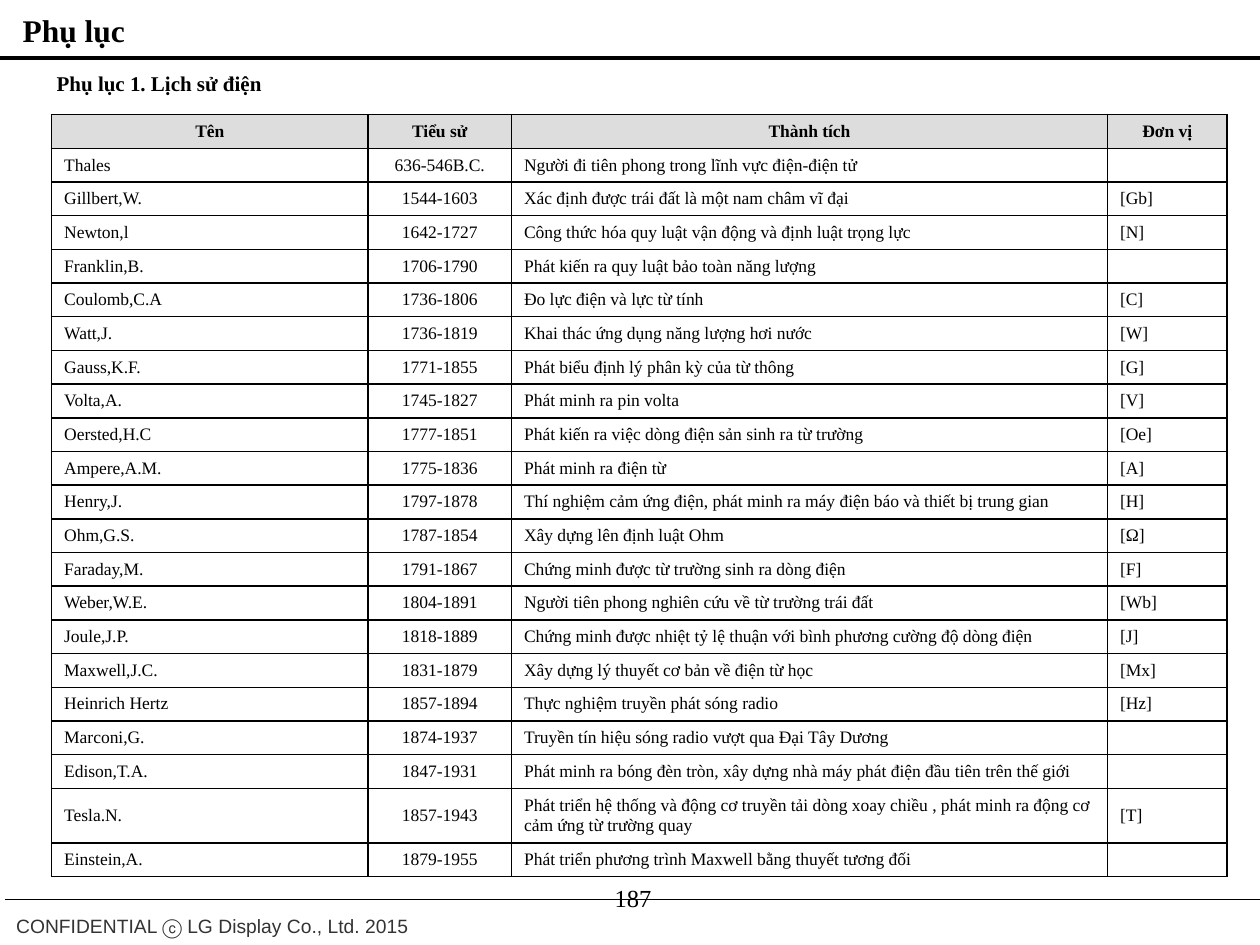
import pptx
import pptx.dml.color
import pptx.enum.shapes
import pptx.enum.text
import pptx.util
from lxml import etree
from pptx.oxml.ns import qn

Inches = pptx.util.Inches
Pt = pptx.util.Pt
MIDDLE = pptx.enum.text.MSO_ANCHOR.MIDDLE
CENTER = pptx.enum.text.PP_ALIGN.CENTER
LEFT = pptx.enum.text.PP_ALIGN.LEFT

COLORS = {"ink": "000000", "paper": "FFFFFF", "header": "DDDDDD", "footer": "333333"}
SERIF = "Times New Roman"

COLUMN_WIDTHS = [2.51, 1.14, 4.73, 0.95]
COLUMN_ALIGNS = [LEFT, CENTER, LEFT, LEFT]
HEADINGS = ("Tên", "Tiểu sử", "Thành tích", "Đơn vị")
SCIENTISTS = [
    ("Thales", "636-546B.C.", "Người đi tiên phong trong lĩnh vực điện-điện tử", ""),
    ("Gillbert,W.", "1544-1603", "Xác định được trái đất là một nam châm vĩ đại", "[Gb]"),
    ("Newton,l", "1642-1727", "Công thức hóa quy luật vận động và định luật trọng lực", "[N]"),
    ("Franklin,B.", "1706-1790", "Phát kiến ra quy luật bảo toàn năng lượng", ""),
    ("Coulomb,C.A", "1736-1806", "Đo lực điện và lực từ tính", "[C]"),
    ("Watt,J.", "1736-1819", "Khai thác ứng dụng năng lượng hơi nước", "[W]"),
    ("Gauss,K.F.", "1771-1855", "Phát biểu định lý phân kỳ của từ thông", "[G]"),
    ("Volta,A.", "1745-1827", "Phát minh ra pin volta", "[V]"),
    ("Oersted,H.C", "1777-1851", "Phát kiến ra việc dòng điện sản sinh ra từ trường", "[Oe]"),
    ("Ampere,A.M.", "1775-1836", "Phát minh ra điện từ", "[A]"),
    ("Henry,J.", "1797-1878",
     "Thí nghiệm cảm ứng điện, phát minh ra máy điện báo và thiết bị trung gian", "[H]"),
    ("Ohm,G.S.", "1787-1854", "Xây dựng lên định luật Ohm", "[Ω]"),
    ("Faraday,M.", "1791-1867", "Chứng minh được từ trường sinh ra dòng điện", "[F]"),
    ("Weber,W.E.", "1804-1891", "Người tiên phong nghiên cứu về từ trường trái đất", "[Wb]"),
    ("Joule,J.P.", "1818-1889",
     "Chứng minh được nhiệt tỷ lệ thuận với bình phương cường độ dòng điện", "[J]"),
    ("Maxwell,J.C.", "1831-1879", "Xây dựng lý thuyết cơ bản về điện từ học", "[Mx]"),
    ("Heinrich Hertz", "1857-1894", "Thực nghiệm truyền phát sóng radio", "[Hz]"),
    ("Marconi,G.", "1874-1937", "Truyền tín hiệu sóng radio vượt qua Đại Tây Dương", ""),
    ("Edison,T.A.", "1847-1931",
     "Phát minh ra bóng đèn tròn, xây dựng nhà máy phát điện đầu tiên trên thế giới", ""),
    ("Tesla.N.", "1857-1943",
     "Phát triển hệ thống và động cơ truyền tải dòng xoay chiều , "
     "phát minh ra động cơ cảm ứng từ trường quay", "[T]"),
    ("Einstein,A.", "1879-1955", "Phát triển phương trình Maxwell bằng thuyết tương đối", ""),
]
TALL_ROW = 20
TALL_HEIGHT = 0.43


def rgb(name):
    return pptx.dml.color.RGBColor.from_string(COLORS[name])


def style(paragraph, size, font=SERIF, color="ink", bold=False):
    paragraph.font.size = Pt(size)
    paragraph.font.name = font
    paragraph.font.bold = bold
    paragraph.font.color.rgb = rgb(color)


def add_label(slide, box, text, size, insets=(0.04, 0.04), wrap=False, **look):
    """Add one line of text; insets are (left and right, top and bottom)."""
    label = slide.shapes.add_textbox(*map(Inches, box))
    frame = label.text_frame
    frame.word_wrap = wrap
    frame.margin_left = frame.margin_right = Inches(insets[0])
    frame.margin_top = frame.margin_bottom = Inches(insets[1])
    paragraph = frame.paragraphs[0]
    paragraph.text = text
    style(paragraph, size, **look)
    return paragraph


def add_rule(slide, left, top, width, weight):
    rule = slide.shapes.add_connector(
        pptx.enum.shapes.MSO_CONNECTOR.STRAIGHT,
        Inches(left), Inches(top), Inches(left + width), Inches(top))
    rule.line.color.rgb = rgb("ink")
    rule.line.width = Pt(weight)
    etree.SubElement(rule._element.spPr, qn("a:effectLst"))


def add_footer(slide, left, top, width):
    add_rule(slide, left, top, width, 0.75)
    notice = add_label(slide, (left - 0.01, top + 0.03, 3.34, 0.3),
                       "CONFIDENTIAL ⓒ LG Display Co., Ltd. 2015", 11,
                       insets=(0.1, 0.05), font="Arial", color="footer")
    notice.line_spacing = 1.2
    page_number = add_label(slide, (left + 3.82, top - 0.17, 2.33, 0.52), "187", 14, wrap=True)
    page_number.alignment = CENTER


def add_heading(slide, left, top, width):
    add_label(slide, (left + 0.02, top + 0.04, 1.15, 0.4), "Phụ lục", 18,
              insets=(0.16, 0.05), bold=True)
    add_rule(slide, left, top + 0.46, width, 2.25)
    add_label(slide, (left + 0.41, top + 0.52, 1.72, 0.28), "Phụ lục 1. Lịch sử điện", 12,
              bold=True)


def add_borders(cell):
    properties = cell._tc.get_or_add_tcPr()
    for position, side in enumerate(("a:lnL", "a:lnR", "a:lnT", "a:lnB")):
        border = etree.Element(qn(side), w=str(Pt(1)))
        fill = etree.SubElement(border, qn("a:solidFill"))
        etree.SubElement(fill, qn("a:srgbClr"), val=COLORS["ink"])
        properties.insert(position, border)


def fill_cell(cell, text, alignment, is_heading):
    cell.vertical_anchor = MIDDLE
    cell.fill.solid()
    cell.fill.fore_color.rgb = rgb("header" if is_heading else "paper")
    add_borders(cell)
    paragraph = cell.text_frame.paragraphs[0]
    paragraph.alignment = alignment
    style(paragraph, 10, bold=is_heading)
    if text:
        paragraph.text = text
    else:  # an empty cell takes its line height from the end mark
        etree.SubElement(paragraph._p, qn("a:endParaRPr"), sz="1000")


def add_history_table(slide, left, top, width, height):
    rows = [HEADINGS] + SCIENTISTS
    table = slide.shapes.add_table(len(rows), len(HEADINGS), Inches(left), Inches(top),
                                   Inches(width), Inches(height)).table
    table.first_row = table.horz_banding = False
    for column, column_width in zip(table.columns, COLUMN_WIDTHS):
        column.width = Inches(column_width)
    row_height = (height - TALL_HEIGHT) / (len(rows) - 1)
    for r, texts in enumerate(rows):
        table.rows[r].height = Inches(TALL_HEIGHT if r == TALL_ROW else row_height)
        for c, text in enumerate(texts):
            alignment = CENTER if r == 0 else COLUMN_ALIGNS[c]
            fill_cell(table.cell(r, c), text, alignment, r == 0)


def main():
    deck = pptx.Presentation()
    deck.slide_width, deck.slide_height = Inches(10), Inches(7.5)
    slide = deck.slides.add_slide(deck.slide_layouts[6])
    add_footer(slide, 0.04, 7.14, 10)
    add_heading(slide, 0, 0, 10)
    add_history_table(slide, 0.41, 0.91, sum(COLUMN_WIDTHS), 6.03)
    deck.save("out.pptx")


if __name__ == "__main__":
    main()
